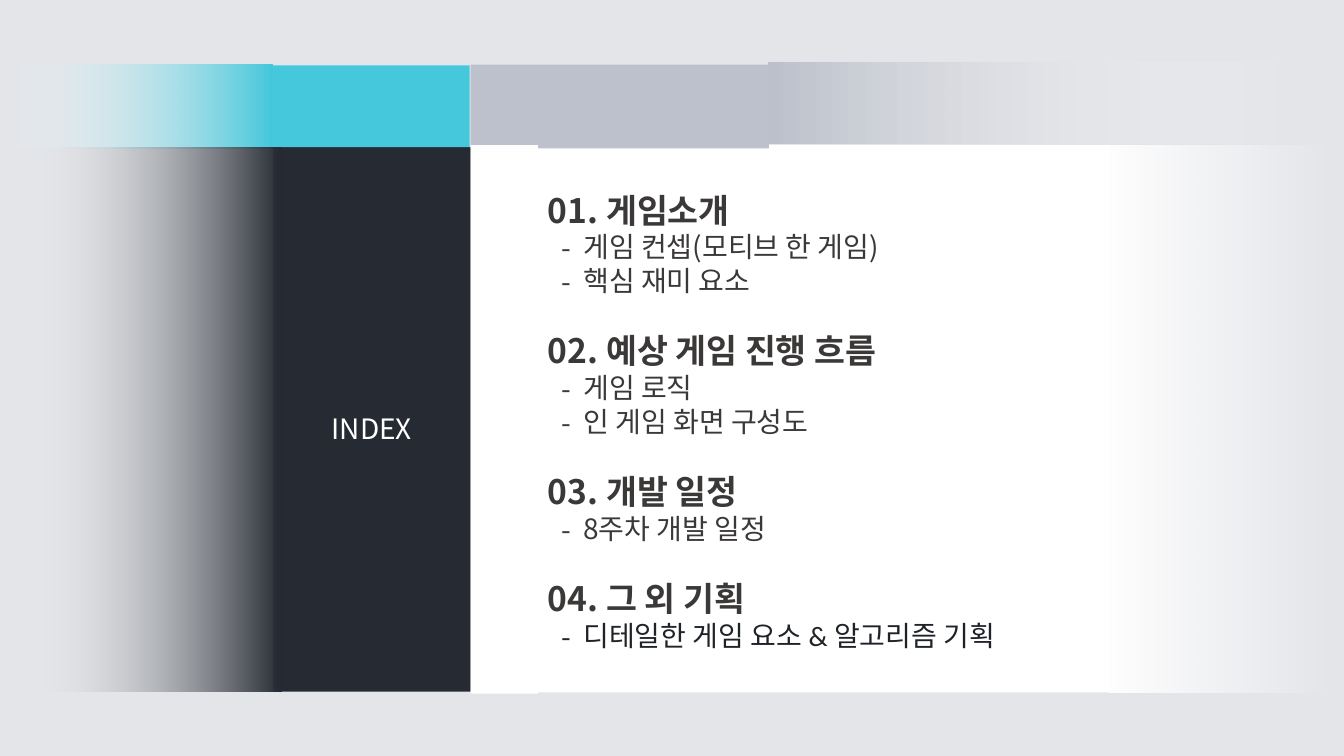
from dataclasses import dataclass

import pptx
import pptx.dml.color
import pptx.enum.shapes
import pptx.enum.text
import pptx.oxml
import pptx.oxml.ns
import pptx.presentation
import pptx.shapes.autoshape
import pptx.slide
import pptx.text.text
import pptx.util
from pptx.dml.color import RGBColor
from pptx.util import Cm

BACKGROUND = RGBColor(0xE3, 0xE5, 0xE9)
TEAL = RGBColor(0x45, 0xC8, 0xDC)
DARK = RGBColor(0x26, 0x2A, 0x33)
SILVER = RGBColor(0xBD, 0xC1, 0xCB)
WHITE = RGBColor(0xFF, 0xFF, 0xFF)
TEXT_GREY = RGBColor(0x3B, 0x38, 0x38)
TEXT_INK = RGBColor(0x1F, 0x23, 0x28)

KOREAN_FONT = "Noto Sans CJK KR"
LATIN_FONT = "Calibri"


@dataclass(frozen=True)
class Panel:
    """A rectangle in centimetres; with fade_angle it fades out that way."""
    left: float
    top: float
    width: float
    height: float
    color: RGBColor
    fade_angle: int | None = None


@dataclass(frozen=True)
class Item:
    text: str
    font: str = KOREAN_FONT
    color: RGBColor = TEXT_GREY


@dataclass(frozen=True)
class Section:
    heading: str
    items: tuple[Item, ...]


INDEX_PANEL = Panel(6.88, 3.71, 4.98, 13.72, DARK)
CONTENT_PANEL = Panel(13.56, 3.66, 14.4, 13.79, WHITE)
DECORATION = (
    Panel(6.86, 1.65, 4.98, 2.06, TEAL),
    Panel(11.86, 1.63, 7.52, 2.11, SILVER),
    Panel(27.96, 3.66, 5.59, 13.79, WHITE, 0),
    Panel(19.38, 1.57, 13.36, 2.06, SILVER, 0),
    Panel(0.1, 1.63, 6.76, 2.11, TEAL, 180),
    Panel(0.33, 3.71, 6.76, 13.72, DARK, 180),
    Panel(11.86, 3.66, 1.7, 13.82, WHITE),
)
SECTIONS = (
    Section("01. 게임소개", (Item("게임 컨셉(모티브 한 게임)"), Item("핵심 재미 요소"))),
    Section("02. 예상 게임 진행 흐름", (Item("게임 로직"), Item("인 게임 화면 구성도"))),
    Section("03. 개발 일정", (Item("8주차 개발 일정"),)),
    Section("04. 그 외 기획",
            (Item("디테일한 게임 요소 & 알고리즘 기획", LATIN_FONT, TEXT_INK),)),
)


def add_panel(page: pptx.slide.Slide, panel: Panel) -> pptx.shapes.autoshape.Shape:
    box = page.shapes.add_shape(
        pptx.enum.shapes.MSO_SHAPE.RECTANGLE,
        Cm(panel.left), Cm(panel.top), Cm(panel.width), Cm(panel.height))
    box.shadow.inherit = False
    box.line.fill.background()
    if panel.fade_angle is None:
        box.fill.solid()
        box.fill.fore_color.rgb = panel.color
    else:
        box.fill.gradient()
        box.fill.gradient_angle = panel.fade_angle
        for stop, color in zip(box.fill.gradient_stops, (panel.color, WHITE)):
            stop.color.rgb = color
        end_color = list(box._element.spPr.iter(pptx.oxml.ns.qn("a:srgbClr")))[-1]
        end_color.append(pptx.oxml.parse_xml(
            f'<a:alpha {pptx.oxml.ns.nsdecls("a")} val="0"/>'))
    return box


def add_span(para: pptx.text.text._Paragraph, text: str, size: int,
             color: RGBColor, font: str = KOREAN_FONT, bold: bool = False) -> None:
    span = para.add_run()
    span.text = text
    span.font.size = pptx.util.Pt(size)
    span.font.bold = bold
    span.font.color.rgb = color
    span.font.name = font
    span.font._element.find(pptx.oxml.ns.qn("a:latin")).addnext(pptx.oxml.parse_xml(
        f'<a:ea {pptx.oxml.ns.nsdecls("a")} typeface="{KOREAN_FONT}"/>'))


def set_dash_bullet(para: pptx.text.text._Paragraph) -> None:
    properties = para._element.get_or_add_pPr()
    properties.set("marL", str(Cm(0.89)))
    properties.set("indent", str(-Cm(0.56)))
    namespace = pptx.oxml.ns.nsdecls("a")
    properties.append(pptx.oxml.parse_xml(
        f'<a:buFont {namespace} typeface="{KOREAN_FONT}"/>'))
    properties.append(pptx.oxml.parse_xml(f'<a:buChar {namespace} char="-"/>'))


def format_title(page: pptx.slide.Slide) -> None:
    title = page.shapes.title
    title.left, title.top = Cm(INDEX_PANEL.left), Cm(INDEX_PANEL.top)
    title.width, title.height = Cm(INDEX_PANEL.width), Cm(INDEX_PANEL.height)
    title.fill.solid()
    title.fill.fore_color.rgb = INDEX_PANEL.color
    frame = title.text_frame
    frame.auto_size = pptx.enum.text.MSO_AUTO_SIZE.NONE
    frame.vertical_anchor = pptx.enum.text.MSO_ANCHOR.MIDDLE
    para = frame.paragraphs[0]
    para.alignment = pptx.enum.text.PP_ALIGN.CENTER
    para.line_spacing = 1.5
    add_span(para, "INDEX", 20, WHITE)


def add_contents(page: pptx.slide.Slide) -> None:
    frame = add_panel(page, CONTENT_PANEL).text_frame
    frame.word_wrap = True
    frame.vertical_anchor = pptx.enum.text.MSO_ANCHOR.MIDDLE
    frame.margin_top = Cm(0.25)
    for number, section in enumerate(SECTIONS):
        para = frame.add_paragraph() if number else frame.paragraphs[0]
        para.alignment = pptx.enum.text.PP_ALIGN.JUSTIFY
        para.line_spacing = pptx.util.Pt(28)
        if number:
            para.space_before = pptx.util.Pt(24.5)
        add_span(para, section.heading, 24, TEXT_GREY, bold=True)
        for item in section.items:
            para = frame.add_paragraph()
            para.alignment = pptx.enum.text.PP_ALIGN.JUSTIFY
            para.line_spacing = pptx.util.Pt(24)
            set_dash_bullet(para)
            add_span(para, item.text, 20, item.color, item.font)


def main() -> None:
    deck = pptx.Presentation()
    deck.slide_width, deck.slide_height = Cm(33.87), Cm(19.05)
    page = deck.slides.add_slide(deck.slide_layouts.get_by_name("Title Only"))
    page.background.fill.solid()
    page.background.fill.fore_color.rgb = BACKGROUND
    format_title(page)
    add_contents(page)
    for panel in DECORATION:
        add_panel(page, panel)
    deck.save("out.pptx")


if __name__ == "__main__":
    main()
